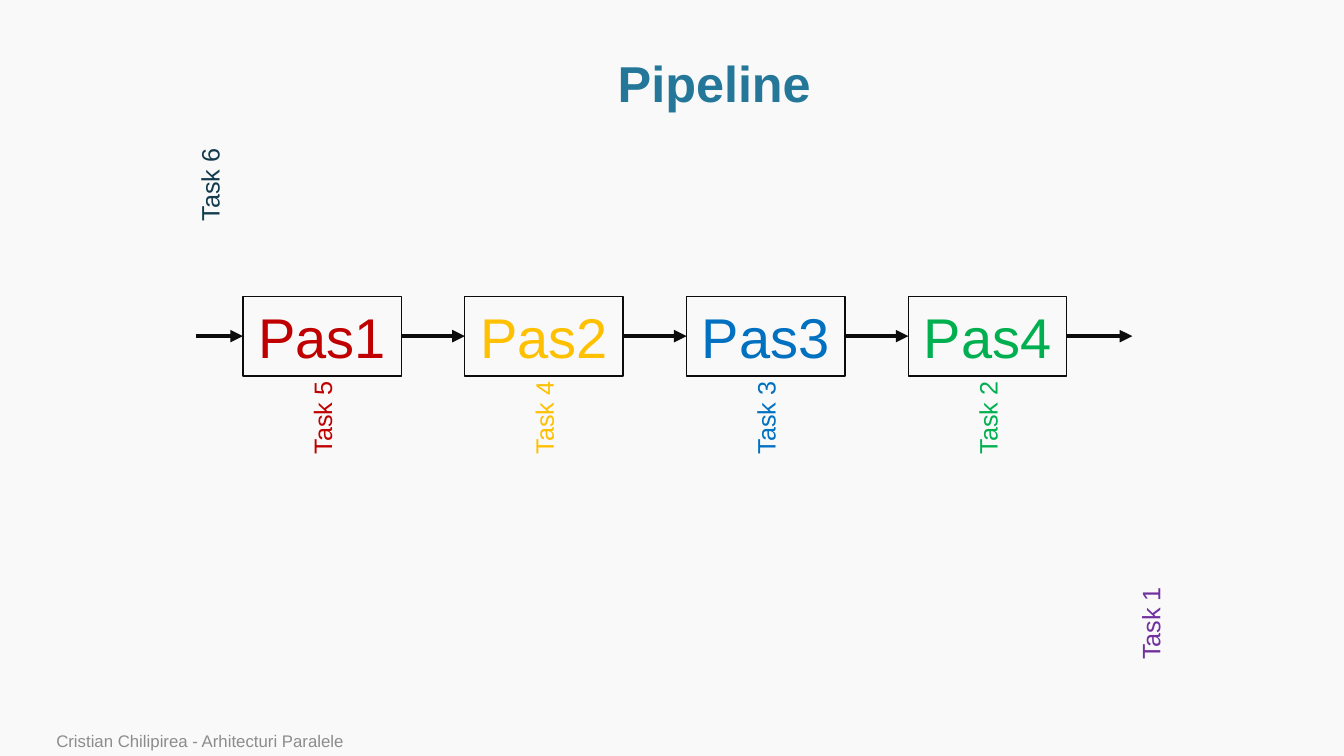
from lxml import etree
from pptx import Presentation
from pptx.dml.color import RGBColor
from pptx.enum.shapes import MSO_CONNECTOR as CONN, MSO_SHAPE as SHAPE
from pptx.enum.text import MSO_ANCHOR as ANCHOR, MSO_AUTO_SIZE as AUTO, PP_ALIGN as ALIGN
from pptx.oxml.ns import qn
from pptx.util import Inches, Pt

BACKGROUND = RGBColor(0xF9, 0xF9, 0xF9)
TEAL = RGBColor(0x24, 0x77, 0x98)
INK = RGBColor(0x0C, 0x0C, 0x0C)
GRAY = RGBColor(0x8C, 0x8C, 0x8C)
RED = RGBColor(0xC0, 0x00, 0x00)
YELLOW = RGBColor(0xFF, 0xC0, 0x00)
BLUE = RGBColor(0x00, 0x70, 0xC0)
GREEN = RGBColor(0x00, 0xB0, 0x50)
PURPLE = RGBColor(0x70, 0x30, 0xA0)
NAVY = RGBColor(0x12, 0x3B, 0x4C)

STEP_LEFT, STEP_TOP, STEP_W, STEP_H = 2.41, 2.94, 1.57, 0.79
STEP_PITCH = 2.2
FLOW_Y = STEP_TOP + STEP_H / 2
TASK_W, TASK_H = 0.93, 0.4


class PipelineSlide:
    font = "Arial"

    def __init__(self, prs):
        self.s = prs.slides.add_slide(prs.slide_layouts[6])
        fill = self.s.background.fill
        fill.solid()
        fill.fore_color.rgb = BACKGROUND

    def style_text(self, tf, text, size, color, align, anchor, bold=False):
        tf.text = text
        tf.vertical_anchor = anchor
        p = tf.paragraphs[0]
        p.alignment = align
        r = p.runs[0]
        r.font.name = self.font
        r.font.size = Pt(size)
        r.font.bold = bold
        r.font.color.rgb = color
        return p

    def text(self, box, text, size, color, align=ALIGN.LEFT, anchor=ANCHOR.MIDDLE, bold=False):
        tf = self.s.shapes.add_textbox(*map(Inches, box)).text_frame
        tf.word_wrap = True
        return self.style_text(tf, text, size, color, align, anchor, bold)

    def step(self, left, text, color):
        box = (left, STEP_TOP, STEP_W, STEP_H)
        sp = self.s.shapes.add_shape(SHAPE.RECTANGLE, *map(Inches, box))
        sp.shadow.inherit = False
        sp.fill.background()
        sp.line.color.rgb = INK
        sp.line.width = Pt(1)
        self.style_text(sp.text_frame, text, 40, color, ALIGN.CENTER, ANCHOR.MIDDLE)
        return sp

    def arrow(self, x1, x2, source=None, target=None):
        ends = map(Inches, (x1, FLOW_Y, x2, FLOW_Y))
        c = self.s.shapes.add_connector(CONN.STRAIGHT, *ends)
        if source is not None:
            c.begin_connect(source, 3)
        if target is not None:
            c.end_connect(target, 1)
        c.line.color.rgb = INK
        c.line.width = Pt(3)
        props = c._element.spPr
        etree.SubElement(props.find(qn("a:ln")), qn("a:tailEnd"), type="triangle")
        etree.SubElement(props, qn("a:effectLst"))

    def task(self, center_x, center_y, text, color):
        box = (center_x - TASK_W / 2, center_y - TASK_H / 2, TASK_W, TASK_H)
        sp = self.s.shapes.add_textbox(*map(Inches, box))
        sp.rotation = 270
        tf = sp.text_frame
        tf.word_wrap = False
        tf.auto_size = AUTO.SHAPE_TO_FIT_TEXT
        self.style_text(tf, text, 18, color, ALIGN.LEFT, ANCHOR.TOP)


def main():
    prs = Presentation()
    prs.slide_width, prs.slide_height = Inches(13.33), Inches(7.5)
    slide = PipelineSlide(prs)

    title = slide.text((1.14, 0.51, 11.89, 0.69), "Pipeline", 36, TEAL, ALIGN.CENTER, bold=True)
    title.line_spacing = 0.9

    lefts = [STEP_LEFT + i * STEP_PITCH for i in range(4)]
    colors = (RED, YELLOW, BLUE, GREEN)
    steps = []
    for i, (left, color) in enumerate(zip(lefts, colors)):
        steps.append(slide.step(left, f"Pas{i + 1}", color))
        slide.task(left + STEP_W / 2, 4.14, f"Task {5 - i}", color)

    starts = [1.94] + [left + STEP_W for left in lefts]
    stops = lefts + [11.23]
    for ends in zip(starts, stops, [None] + steps, steps + [None]):
        slide.arrow(*ends)

    slide.task(11.41, 6.18, "Task 1", PURPLE)
    slide.task(2.08, 1.83, "Task 6", NAVY)
    slide.text((0.46, 7.22, 9.82, 0.28), "Cristian Chilipirea - Arhitecturi Paralele",
               12, GRAY, anchor=ANCHOR.BOTTOM)
    prs.save("out.pptx")


if __name__ == "__main__":
    main()
